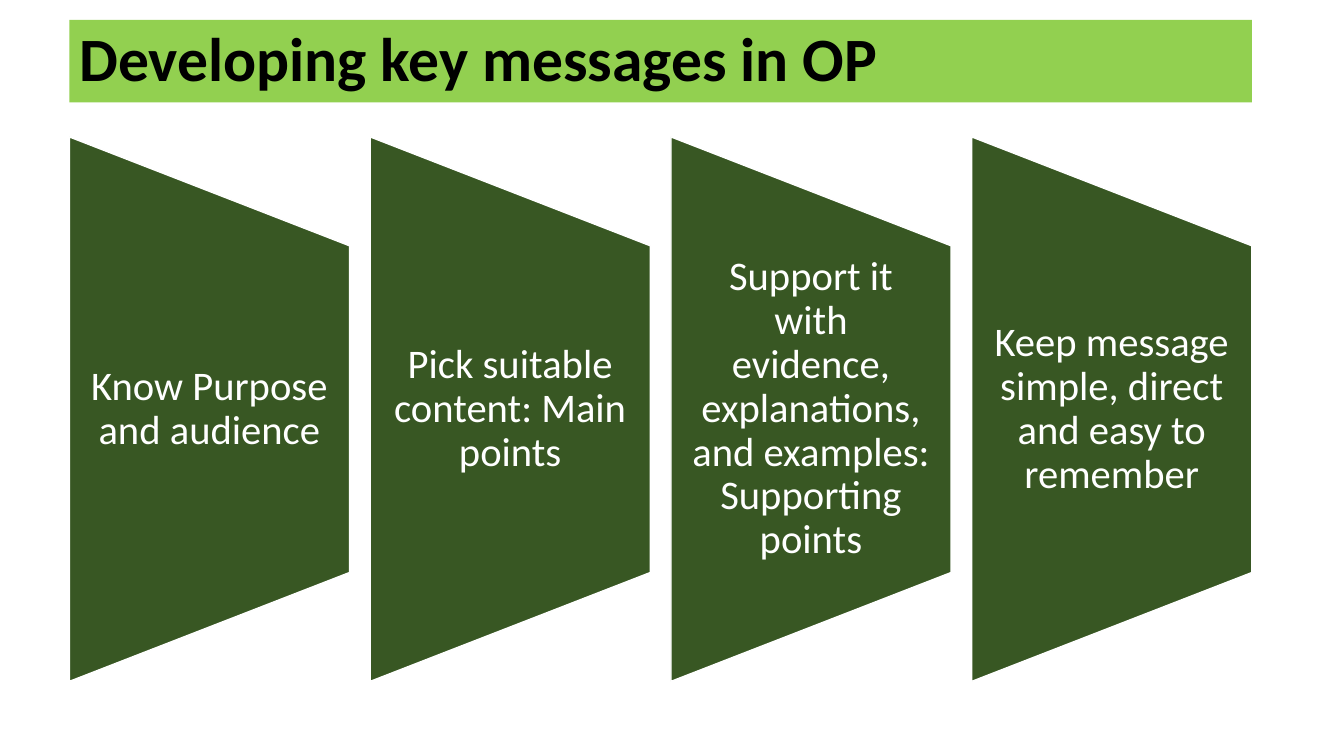
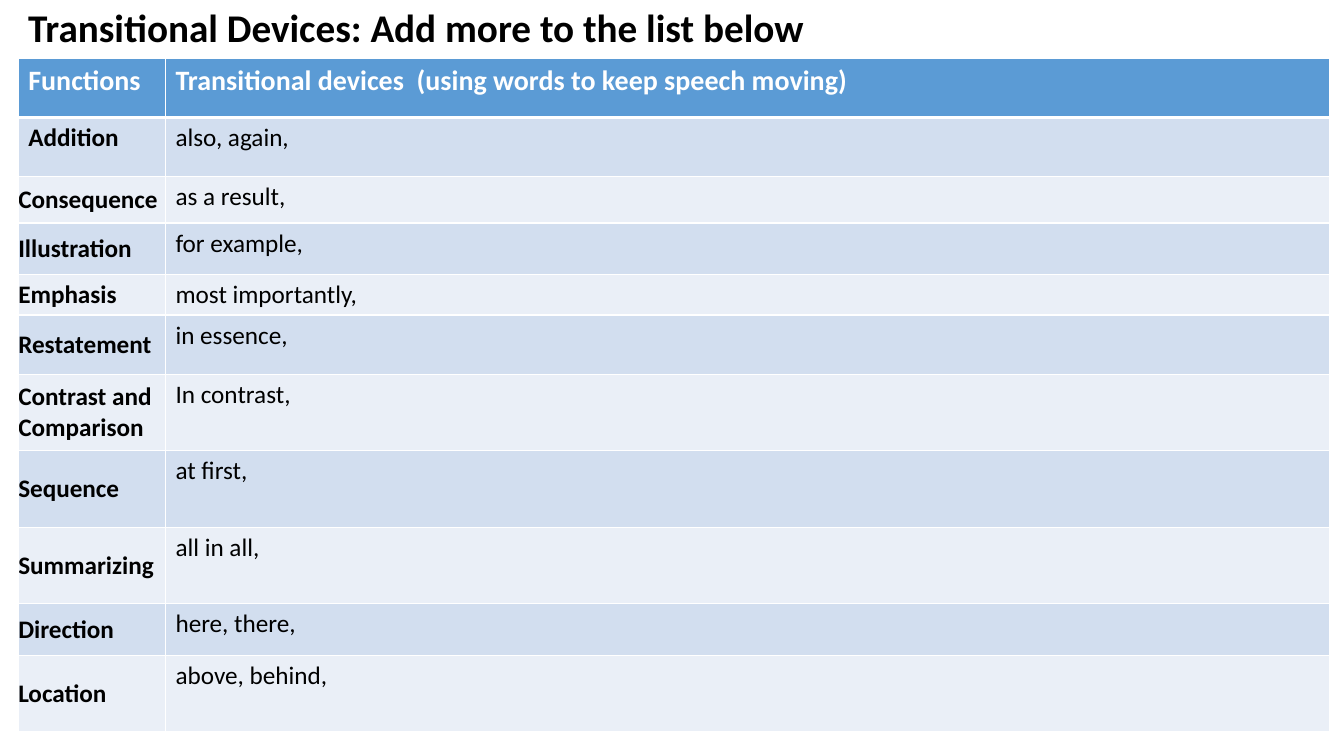
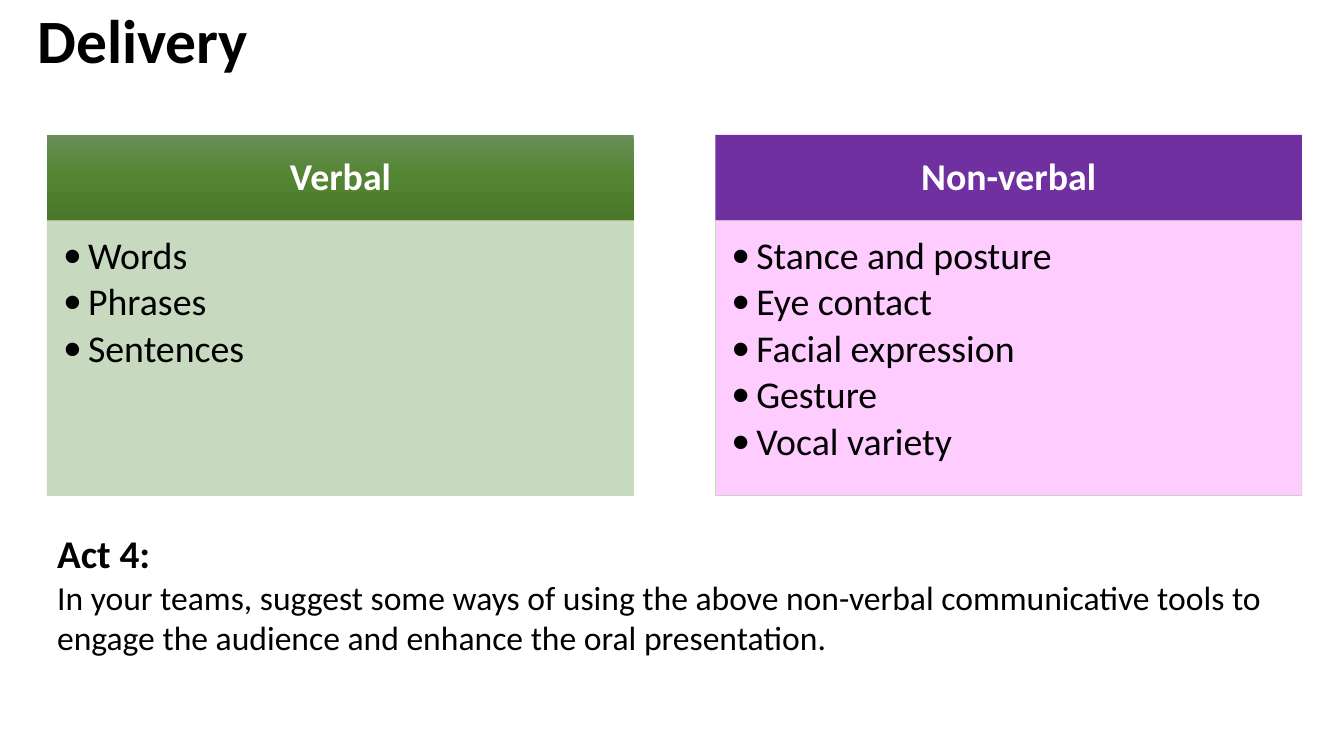
from copy import deepcopy

from lxml.etree import SubElement
from pptx import Presentation
from pptx.dml.color import RGBColor
from pptx.enum.shapes import MSO_SHAPE
from pptx.enum.text import MSO_ANCHOR, PP_ALIGN
from pptx.oxml.ns import qn
from pptx.util import Cm, Pt

FONT = "Calibri"
BLACK = RGBColor(0x00, 0x00, 0x00)
WHITE = RGBColor(0xFF, 0xFF, 0xFF)
LIME = RGBColor(0x92, 0xD0, 0x50)
FOREST = RGBColor(0x38, 0x57, 0x23)
SAGE = RGBColor(0xC2, 0xD7, 0xB9)
PURPLE = RGBColor(0x70, 0x30, 0xA0)
PINK = RGBColor(0xFF, 0xCC, 0xFF)
BLUE = RGBColor(0x5B, 0x9B, 0xD5)
BLUE_BANDS = (RGBColor(0xD2, 0xDE, 0xEF), RGBColor(0xEA, 0xEF, 0xF7))
GREEN_GRADIENT = (
    (0, RGBColor(0x6A, 0x8F, 0x57)),
    (0.5, RGBColor(0x52, 0x84, 0x31)),
    (1, RGBColor(0x48, 0x78, 0x28)),
)

STEPS = (
    "Know Purpose and audience",
    "Pick suitable content: Main points",
    "Support it with evidence, explanations, and examples: Supporting points",
    "Keep message simple, direct and easy to remember",
)
DEVICES = (
    ("Functions", "Transitional devices  (using words to keep speech moving)", 1.49),
    ("Addition", "also, again,", 1.49),
    ("Consequence", "as a result,", 1.17),
    ("Illustration", "for example,", 1.3),
    ("Emphasis", "most importantly,", 1),
    ("Restatement", "in essence,", 1.49),
    ("Contrast and Comparison", "In contrast,", 1.93),
    ("Sequence", "at first,", 1.93),
    ("Summarizing", "all in all,", 1.93),
    ("Direction", "here, there,", 1.3),
    ("Location", "above, behind,", 1.93),
)
VERBAL = ("Words", "Phrases", "Sentences")
NON_VERBAL = ("Stance and posture", "Eye contact", "Facial expression", "Gesture", "Vocal variety")
ACTIVITY = (
    "In your teams, suggest some ways of using the above non-verbal communicative tools "
    "to engage the audience and enhance the oral presentation."
)


def set_alpha(format_element, percent):
    color = format_element.find(".//" + qn("a:srgbClr"))
    SubElement(color, qn("a:alpha"), val=str(percent * 1000))


class Deck:
    def __init__(self):
        self.deck = Presentation()
        self.deck.slide_width = Cm(33.87)
        self.deck.slide_height = Cm(19.05)
        self.page = None

    def new_page(self):
        self.page = self.deck.slides.add_slide(self.deck.slide_layouts[6])

    def style(self, paragraph, size, color=BLACK, bold=False, align=PP_ALIGN.LEFT, spacing=1):
        paragraph.alignment = align
        paragraph.line_spacing = spacing
        font = paragraph.font
        font.name, font.size, font.bold = FONT, Pt(size), bold
        font.color.rgb = color

    def frame(self, shape, insets=(0.25, 0.13, 0.25, 0.13), anchor=MSO_ANCHOR.MIDDLE):
        frame = shape.text_frame
        frame.word_wrap = True
        frame.vertical_anchor = anchor
        frame.margin_left, frame.margin_top, frame.margin_right, frame.margin_bottom = map(Cm, insets)
        return frame

    def text_box(self, left, top, width, height):
        return self.page.shapes.add_textbox(Cm(left), Cm(top), Cm(width), Cm(height))

    def shape(self, kind, left, top, width, height, fill=None):
        shape = self.page.shapes.add_shape(kind, Cm(left), Cm(top), Cm(width), Cm(height))
        shape.shadow.inherit = False
        shape.line.fill.background()
        if fill is not None:
            shape.fill.solid()
            shape.fill.fore_color.rgb = fill
        return shape

    def title(self, text, left, top, width, height, size=44, fill=None):
        if fill is None:
            box = self.text_box(left, top, width, height)
        else:
            box = self.shape(MSO_SHAPE.RECTANGLE, left, top, width, height, fill)
        paragraph = self.frame(box).paragraphs[0]
        paragraph.text = text
        self.style(paragraph, size, bold=True, spacing=0.9)

    def step(self, text, left, middle, width, height):
        panel = self.shape(
            MSO_SHAPE.FLOWCHART_MANUAL_OPERATION,
            left + (width - height) / 2, middle - width / 2, height, width, FOREST,
        )
        panel.rotation = 270
        panel.line.color.rgb = WHITE
        panel.line.width = Pt(1)
        text_height = height * 0.6
        box = self.text_box(left, middle - text_height / 2, width, text_height)
        paragraph = self.frame(box, (0.52, 0, 0.52, 0)).paragraphs[0]
        paragraph.text = text
        self.style(paragraph, 29, WHITE, align=PP_ALIGN.CENTER, spacing=0.9)

    def gradient(self, shape, stops):
        shape.fill.gradient()
        shape.fill.gradient_angle = 270
        stop_list = shape._element.spPr.find(".//" + qn("a:gsLst"))
        stop_list.insert(1, deepcopy(stop_list[0]))
        for stop, (position, color) in zip(shape.fill.gradient_stops, stops):
            stop.position = position
            stop.color.rgb = color

    def card_header(self, text, left, top, width, height, fill=None):
        header = self.shape(MSO_SHAPE.RECTANGLE, left, top, width, height, fill)
        if fill is None:
            self.gradient(header, GREEN_GRADIENT)
        paragraph = self.frame(header, (0.53, 0.3, 0.53, 0.3)).paragraphs[0]
        paragraph.text = text
        self.style(paragraph, 27, WHITE, True, PP_ALIGN.CENTER, 0.9)

    def card_body(self, items, left, top, width, height, fill, alpha=100):
        body = self.shape(MSO_SHAPE.RECTANGLE, left, top, width, height, fill)
        body.line.color.rgb = SAGE
        body.line.width = Pt(0.5)
        properties = body._element.spPr
        set_alpha(properties.find(qn("a:ln")), 90)
        if alpha < 100:
            set_alpha(properties.find(qn("a:solidFill")), alpha)
        frame = self.frame(body, (0.4, 0.4, 0.53, 0.6), MSO_ANCHOR.TOP)
        for index, item in enumerate(items):
            paragraph = frame.add_paragraph() if index else frame.paragraphs[0]
            paragraph.text = item
            paragraph.space_after = Pt(4)
            indent = paragraph._p.get_or_add_pPr()
            indent.set("marL", str(Cm(0.63)))
            indent.set("indent", str(-Cm(0.63)))
            SubElement(indent, qn("a:buFont"), typeface=FONT)
            SubElement(indent, qn("a:buChar"), char="•")
            self.style(paragraph, 27, spacing=0.9)

    def cell_borders(self, cell, top, bottom):
        properties = cell._tc.get_or_add_tcPr()
        for side, width in (("L", 1), ("R", 1), ("T", top), ("B", bottom)):
            line = SubElement(properties, qn("a:ln" + side), w=str(Pt(width)))
            fill = SubElement(line, qn("a:solidFill"))
            SubElement(fill, qn("a:srgbClr"), val=str(WHITE))

    def device_table(self, rows, left, top, widths):
        height = sum(row[-1] for row in rows)
        table = self.page.shapes.add_table(
            len(rows), len(widths), Cm(left), Cm(top), Cm(sum(widths)), Cm(height)
        ).table
        table.horz_banding = False
        for column, width in zip(table.columns, widths):
            column.width = Cm(width)
        for number, (*texts, row_height) in enumerate(rows):
            table.rows[number].height = Cm(row_height)
            header = number == 0
            for position, text in enumerate(texts):
                cell = table.cell(number, position)
                self.cell_borders(cell, 3 if number == 1 else 1, 3 if header else 1)
                cell.fill.solid()
                cell.fill.fore_color.rgb = BLUE if header else BLUE_BANDS[(number - 1) % 2]
                if position == 0 and number > 1:
                    cell.vertical_anchor = MSO_ANCHOR.MIDDLE
                    cell.margin_left = cell.margin_right = cell.margin_top = cell.margin_bottom = 0
                paragraph = cell.text_frame.paragraphs[0]
                paragraph.text = text
                self.style(
                    paragraph, 20 if header else 18, WHITE if header else BLACK,
                    header or position == 0,
                )

    def activity(self, heading, text, left, top, width, height):
        box = self.text_box(left, top, width, height)
        frame = self.frame(box, anchor=MSO_ANCHOR.TOP)
        frame.text = heading + "\n" + text
        first, second = frame.paragraphs
        self.style(first, 28, bold=True)
        self.style(second, 24)

    def save(self):
        self.deck.save("out.pptx")


def key_messages(deck):
    deck.new_page()
    left, total, width = 1.75, 29.8, 7.06
    deck.title("Developing key messages in OP", left, 0.5, total, 2.08, fill=LIME)
    pitch = (total - width) / (len(STEPS) - 1)
    for index, text in enumerate(STEPS):
        deck.step(text, left + index * pitch, 10.31, width, 13.72)


def transitional_devices(deck):
    deck.new_page()
    deck.title(
        "Transitional Devices: Add more to the list below", 0.46, 0, 30.78, 1.48, size=28, fill=WHITE
    )
    deck.device_table(DEVICES, 0.46, 1.47, (3.71, 29.34))


def delivery(deck):
    deck.new_page()
    deck.title("Delivery", 0.69, 0, 30.86, 2.21)
    top, width, header_height, body_height = 3.4, 14.78, 2.16, 6.93
    cards = (
        ("Verbal", VERBAL, 1.19, None, SAGE, 90),
        ("Non-verbal", NON_VERBAL, 18.03, PURPLE, PINK, 100),
    )
    for heading, items, left, header_fill, body_fill, alpha in cards:
        deck.card_header(heading, left, top, width, header_height, header_fill)
        deck.card_body(items, left, top + header_height, width, body_height, body_fill, alpha)
    deck.activity("Act 4:", ACTIVITY, 1.19, 13.22, 31.62, 3.5)


def main():
    deck = Deck()
    key_messages(deck)
    transitional_devices(deck)
    delivery(deck)
    deck.save()


if __name__ == "__main__":
    main()
